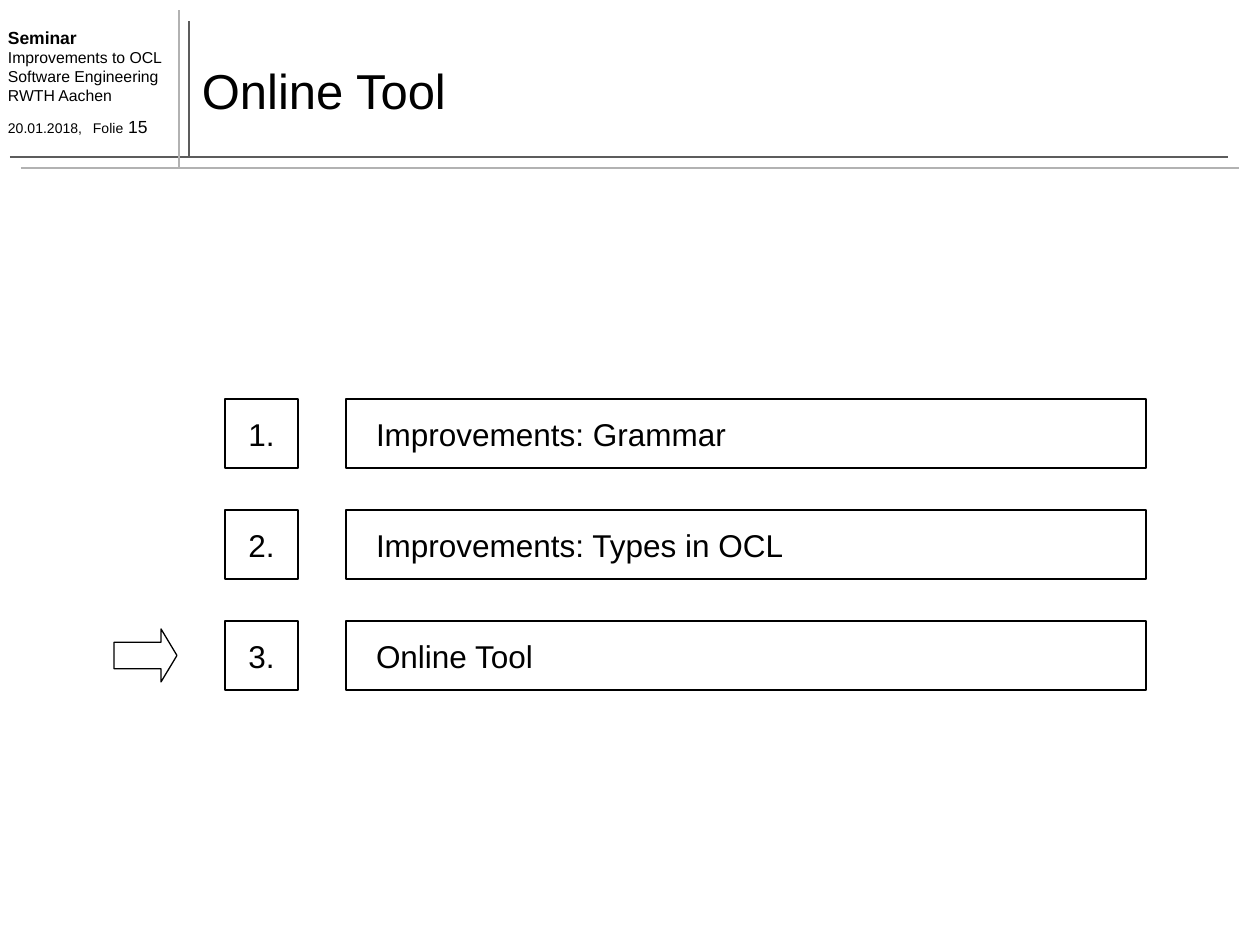
"""Build the agenda slide that introduces the Online Tool section."""
from lxml.etree import SubElement
from pptx import Presentation
from pptx.dml.color import RGBColor
from pptx.enum.shapes import MSO_CONNECTOR as Connector, MSO_SHAPE as Shape
from pptx.enum.text import MSO_ANCHOR as Anchor, PP_ALIGN as Align
from pptx.oxml.ns import qn
from pptx.util import Pt

PX = 914400 // 126
BLACK = RGBColor(0x00, 0x00, 0x00)
DARK_GREY = RGBColor(0x5C, 0x5C, 0x5C)
LIGHT_GREY = RGBColor(0xB2, 0xB2, 0xB2)
FONT = "Arial"

TITLE = "Online Tool"
SEMINAR = [
    [("Seminar", 10, True)],
    [("Improvements to OCL", 9, False)],
    [("Software Engineering", 9, False)],
    [("RWTH Aachen", 9, False)],
    [("20.01.2018,\tFolie", 8, False), (" 15", 10, False)],
]
AGENDA = ["Improvements: Grammar", "Improvements: Types in OCL", "Online Tool"]
CURRENT = 2
RULES = [
    (189, 157, 189, 21, DARK_GREY),
    (10, 157, 1228, 157, DARK_GREY),
    (21, 168, 1239, 168, LIGHT_GREY),
    (179, 168, 179, 10, LIGHT_GREY),
]
FOLIE_TAB = 85
ROW_TOP, ROW_PITCH, ROW_HEIGHT = 399, 111, 69
NUMBER_LEFT, NUMBER_WIDTH = 225, 73
TOPIC_LEFT, TOPIC_WIDTH, TOPIC_INSET = 346, 800, 30
ARROW_LEFT, ARROW_WIDTH, ARROW_HEIGHT = 114, 63, 53


def px(*lengths):
    return [length * PX for length in lengths]


def add_text(paragraph, text, size, bold=False):
    run = paragraph.add_run()
    run.text = text
    run.font.name, run.font.size, run.font.bold = FONT, Pt(size), bold
    run.font.color.rgb = BLACK


def add_frame(slide, left, top, width, height, inset, anchor):
    frame = slide.shapes.add_textbox(*px(left, top, width, height)).text_frame
    frame.word_wrap = True
    frame.vertical_anchor = anchor
    frame.margin_left = inset * PX
    return frame


def add_rule(slide, x1, y1, x2, y2, color):
    rule = slide.shapes.add_connector(Connector.STRAIGHT, *px(x1, y1, x2, y2))
    rule.line.color.rgb = color
    rule.line.width = Pt(1)
    SubElement(rule.element.spPr, qn("a:effectLst"))


def add_outline(slide, kind, left, top, width, height):
    outline = slide.shapes.add_shape(kind, *px(left, top, width, height))
    outline.shadow.inherit = False
    outline.fill.background()
    outline.line.color.rgb = BLACK
    outline.line.width = Pt(0.75)
    return outline


def add_box(slide, left, top, width, text, align, inset):
    box = add_outline(slide, Shape.RECTANGLE, left, top, width, ROW_HEIGHT)
    frame = box.text_frame
    frame.vertical_anchor = Anchor.MIDDLE
    frame.margin_left = frame.margin_right = inset * PX
    frame.paragraphs[0].alignment = align
    add_text(frame.paragraphs[0], text, 18)


def add_seminar(slide):
    frame = add_frame(slide, 0, 21, 189, 122, 8, Anchor.TOP)
    frame.margin_right = 0
    for index, runs in enumerate(SEMINAR):
        line = frame.add_paragraph() if index else frame.paragraphs[0]
        for text, size, bold in runs:
            add_text(line, text, size, bold)
    line.space_before = Pt(6.2)
    tabs = SubElement(line._p.get_or_add_pPr(), qn("a:tabLst"))
    SubElement(tabs, qn("a:tab"), pos=str(FOLIE_TAB * PX), algn="l")


def add_agenda(slide):
    for index, topic in enumerate(AGENDA):
        top = ROW_TOP + index * ROW_PITCH
        add_box(slide, TOPIC_LEFT, top, TOPIC_WIDTH, topic, Align.LEFT, TOPIC_INSET)
        add_box(slide, NUMBER_LEFT, top, NUMBER_WIDTH, f"{index + 1}.", Align.CENTER, 0)
        if index == CURRENT:
            arrow_top = top + (ROW_HEIGHT - ARROW_HEIGHT) // 2
            arrow = add_outline(slide, Shape.RIGHT_ARROW, ARROW_LEFT, arrow_top,
                                ARROW_WIDTH, ARROW_HEIGHT)
            arrow.adjustments[0], arrow.adjustments[1] = 0.5, 0.3


def main():
    deck = Presentation()
    deck.slide_width, deck.slide_height = px(1260, 945)
    slide = deck.slides.add_slide(deck.slide_layouts[6])
    for rule in RULES:
        add_rule(slide, *rule)
    add_seminar(slide)
    title = add_frame(slide, 189, 32, 1050, 116, 13, Anchor.MIDDLE)
    add_text(title.paragraphs[0], TITLE, 28)
    add_agenda(slide)
    deck.save("out.pptx")


if __name__ == "__main__":
    main()
